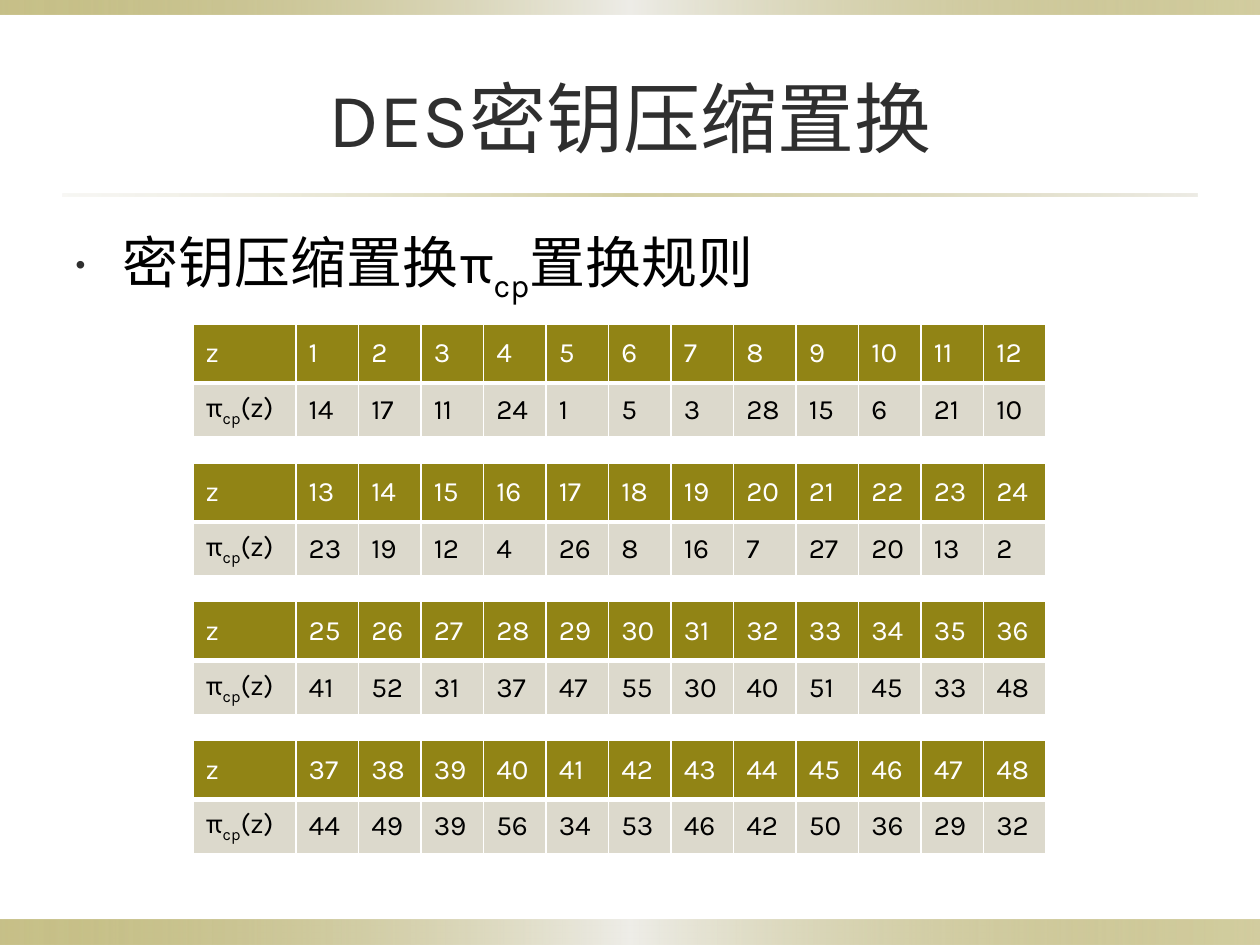
"""Build a slide with the DES key compression permutation tables."""
from lxml import etree
from pptx import Presentation
from pptx.dml.color import RGBColor
from pptx.enum.shapes import MSO_SHAPE
from pptx.enum.text import MSO_ANCHOR, PP_ALIGN
from pptx.oxml import parse_xml
from pptx.oxml.ns import nsdecls, qn
from pptx.util import Cm, Pt

RECT = MSO_SHAPE.RECTANGLE
MIDDLE = MSO_ANCHOR.MIDDLE
CENTER = PP_ALIGN.CENTER
OLIVE, SAND, PALE = "918415", "DCD9CC", "EEEDE8"
WHITE, BLACK, DARK = "FFFFFF", "000000", "2F2F2F"


def paint(fill, tone):
    fill.solid()
    fill.fore_color.rgb = RGBColor.from_string(tone)


def write(para, text, size=16, tone=BLACK):
    for i, part in enumerate(text.split("_")):
        run = para.add_run()
        run.text = part
        run.font.name = "Karla"
        run.font.size = Pt(size)
        paint(run.font.fill, tone)
        if i % 2:
            run._r.get_or_add_rPr().set("baseline", "-25000")


deck = Presentation()
deck.slide_width, deck.slide_height = Cm(25.4), Cm(19.05)
slide = deck.slides.add_slide(deck.slide_layouts[1])

band = [(0, OLIVE, 50), (50, PALE, 100), (100, OLIVE, 40)]
rule = [(0, SAND, 20), (50, OLIVE, 40), (100, SAND, 50)]
bars = [
    (0, 18.54, 25.4, 0.51, band),
    (0, 0, 25.4, 0.3, band),
    (1.27, 3.91, 22.86, 0.05, rule),
]
for left, top, width, height, stops in bars:
    bar = slide.shapes.add_shape(RECT, Cm(left), Cm(top), Cm(width), Cm(height))
    bar.shadow.inherit = False
    bar.line.fill.background()
    bar.fill.gradient()
    bar.fill.gradient_angle = 0
    ramp = bar._element.spPr.find(".//" + qn("a:gsLst"))
    for old in list(ramp):
        ramp.remove(old)
    for pos, tone, alpha in stops:
        stop = etree.SubElement(ramp, qn("a:gs"), pos=str(pos * 1000))
        hue = etree.SubElement(stop, qn("a:srgbClr"), val=tone)
        etree.SubElement(hue, qn("a:alpha"), val=str(alpha * 1000))

title = slide.shapes.title
title.left, title.top, title.width, title.height = Cm(1.27), Cm(0.76), Cm(22.86), Cm(3.18)
title.text_frame.vertical_anchor = MIDDLE
para = title.text_frame.paragraphs[0]
para.alignment = CENTER
write(para, "DES密钥压缩置换", size=44, tone=DARK)

body = slide.placeholders[1]
body.left, body.top, body.width, body.height = Cm(1.27), Cm(4.45), Cm(22.86), Cm(13.03)
para = body.text_frame.paragraphs[0]
props = para._p.get_or_add_pPr()
props.set("marL", str(Cm(0.95)))
props.set("indent", str(Cm(-0.95)))
hue = etree.SubElement(props, qn("a:buClr"))
etree.SubElement(hue, qn("a:srgbClr"), val=DARK)
etree.SubElement(props, qn("a:buSzPct"), val="50000")
etree.SubElement(props, qn("a:buFont"), typeface="Arial")
etree.SubElement(props, qn("a:buChar"), char="•")
para.space_before = Pt(0)
write(para, "密钥压缩置换π_cp_置换规则", size=32)

groups = [
    [14, 17, 11, 24, 1, 5, 3, 28, 15, 6, 21, 10],
    [23, 19, 12, 4, 26, 8, 16, 7, 27, 20, 13, 2],
    [41, 52, 31, 37, 47, 55, 30, 40, 51, 45, 33, 48],
    [44, 49, 39, 56, 34, 53, 46, 42, 50, 36, 29, 32],
]
for n, group in enumerate(groups):
    count = len(group)
    first = n * count + 1
    rows = [["z", *range(first, first + count)], ["π_cp_(z)", *group]]
    frame = slide.shapes.add_table(
        2, count + 1, Cm(3.89), Cm(6.53 + 2.8 * n), Cm(2.08 + 1.26 * count), Cm(2.28))
    table = frame.table
    for c, col in enumerate(table.columns):
        col.width = Cm(1.26 if c else 2.08)
    for r, (height, back, ink) in enumerate([(1.19, OLIVE, WHITE), (1.09, SAND, BLACK)]):
        table.rows[r].height = Cm(height)
        for c, value in enumerate(rows[r]):
            cell = table.cell(r, c)
            cell.vertical_anchor = MIDDLE
            paint(cell.fill, back)
            write(cell.text_frame.paragraphs[0], str(value), tone=ink)
            props = cell._tc.get_or_add_tcPr()
            for i, side in enumerate("LRTB"):
                thick = Pt(3 if r == 0 and side == "B" else 1)
                props.insert(i, parse_xml(
                    f'<a:ln{side} {nsdecls("a")} w="{thick}"><a:solidFill>'
                    f'<a:srgbClr val="{WHITE}"/></a:solidFill></a:ln{side}>'))

deck.save("out.pptx")
